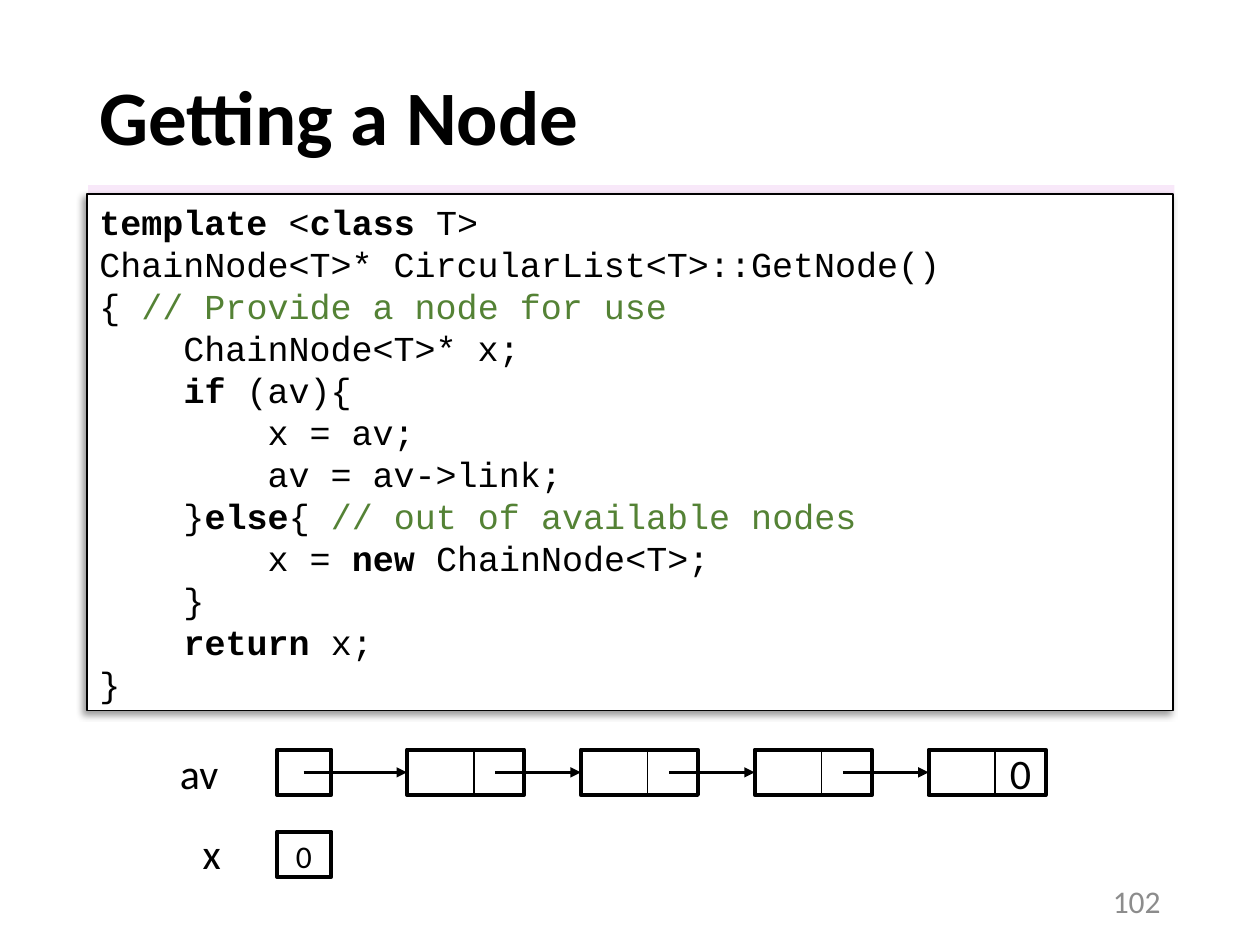
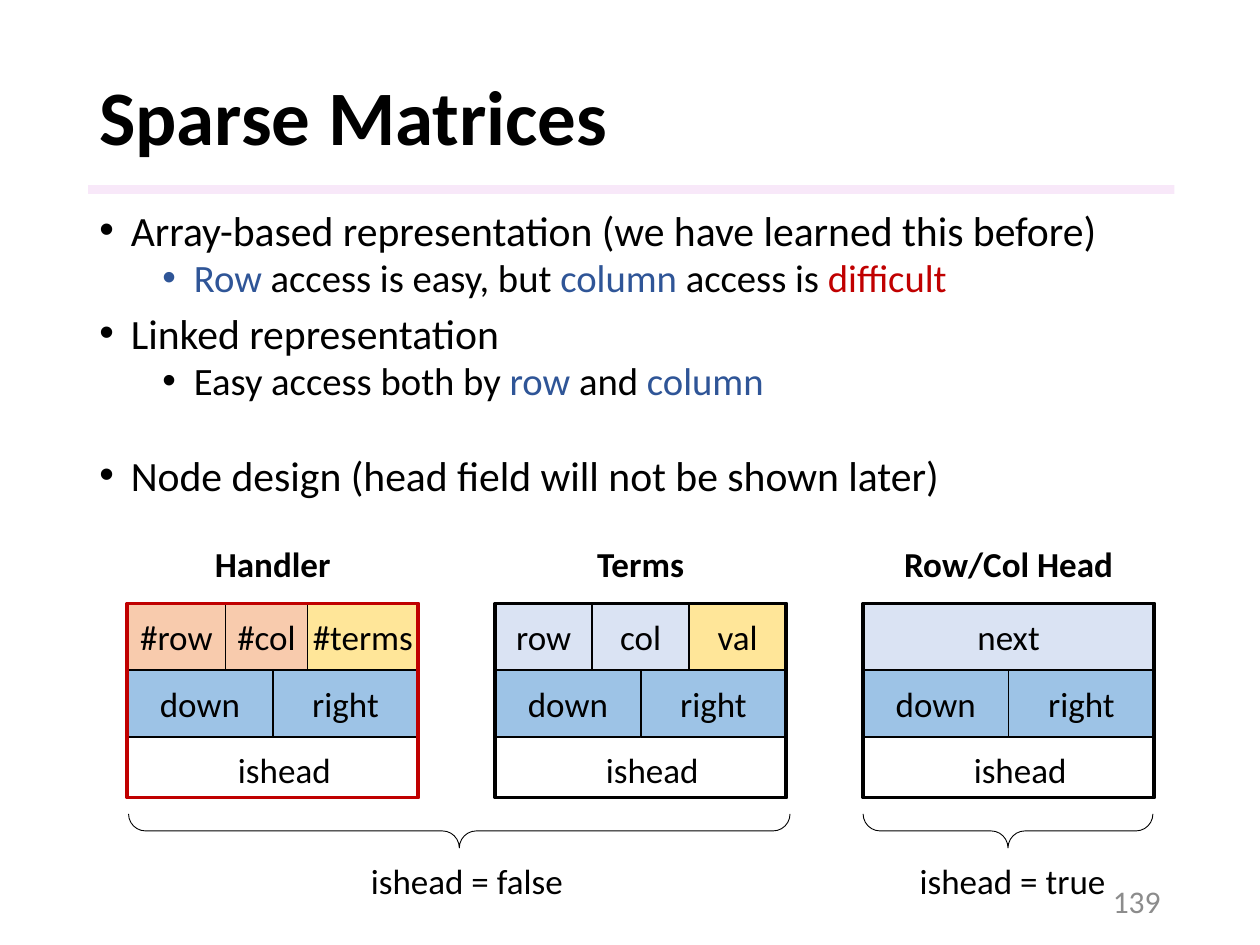
from lxml import etree
from pptx import Presentation
from pptx import util as u
from pptx.dml import color as dml
from pptx.enum import shapes as kinds, text as tx
from pptx.oxml import ns

BLACK, WHITE, GREY = "000000", "FFFFFF", "8C8C8C"
GREEN, NAVY, RED = "548235", "2F5597", "C00000"
PALE, SKY, GOLD, PEACH = "DAE3F3", "9DC3E6", "FFE699", "F8CBAD"
RECT = kinds.MSO_SHAPE.RECTANGLE
LEFT, MID, RIGHT = tx.PP_ALIGN.LEFT, tx.PP_ALIGN.CENTER, tx.PP_ALIGN.RIGHT


def rgb(code):
    return dml.RGBColor.from_string(code)


def inch(*nums):
    return [u.Inches(n) for n in nums]


def tag(node, name, **attrs):
    return etree.SubElement(node, ns.qn(name), {k: str(v) for k, v in attrs.items()})


def write(shape, paras, size=20, color=BLACK, bold=False, face="Calibri",
          align=LEFT, middle=False, space=None, wrap=True, pad=None):
    frame = shape.text_frame
    frame.word_wrap = wrap
    if not wrap:
        frame.auto_size = tx.MSO_AUTO_SIZE.SHAPE_TO_FIT_TEXT
    frame.vertical_anchor = tx.MSO_ANCHOR.MIDDLE if middle else tx.MSO_ANCHOR.TOP
    if pad is not None:
        frame.margin_left = frame.margin_right = u.Inches(pad)
    for i, runs in enumerate([paras] if isinstance(paras, str) else paras):
        para = frame.add_paragraph() if i else frame.paragraphs[0]
        para.alignment = align
        if space:
            para.line_spacing = space
        for part in [runs] if isinstance(runs, str) else runs:
            word, own = (part, {}) if isinstance(part, str) else part
            run = para.add_run()
            run.text = word
            run.font.name = face
            run.font.size = u.Pt(own.get("size", size))
            run.font.bold = own.get("bold", bold)
            run.font.color.rgb = rgb(own.get("color", color))
    return frame


def label(area, box, paras, **form):
    return write(area.add_textbox(*inch(*box)), paras, **form)


def draw(area, box, fill=None, line=BLACK, width=1, kind=RECT):
    shape = area.add_shape(kind, *inch(*box))
    shape.shadow.inherit = False
    if fill:
        shape.fill.solid()
        shape.fill.fore_color.rgb = rgb(fill)
    else:
        shape.fill.background()
    if line:
        shape.line.color.rgb = rgb(line)
        shape.line.width = u.Pt(width)
    else:
        shape.line.fill.background()
    return shape


def cell(area, box, word, fill, size=20):
    write(draw(area, box, fill), word, size=size, align=MID, middle=True, pad=0)


def arrow(area, x, y, goal):
    link = area.add_connector(kinds.MSO_CONNECTOR.STRAIGHT, *inch(x, y), goal.left, u.Inches(y))
    link.end_connect(goal, 1)
    link.line.color.rgb = rgb(BLACK)
    link.line.width = u.Pt(1.5)
    tag(link.line._get_or_add_ln(), "a:tailEnd", type="triangle")
    tag(link._element.spPr, "a:effectLst")


def start(deck, title, page):
    area = deck.slides.add_slide(deck.slide_layouts[6]).shapes
    band = draw(area, (0.7, 1.47, 8.62, 0.07), "F3D2F4", None)
    tint = band._element.spPr.find(".//" + ns.qn("a:srgbClr"))
    tag(tint, "a:alpha", val=50000)
    label(area, (0.69, 0.4, 8.62, 1.11), title, size=44, bold=True, middle=True, space=0.9)
    label(area, (7.06, 6.95, 2.25, 0.4), page, size=18, color=GREY, align=RIGHT, middle=True)
    return area


def code(area, box, lines):
    panel = draw(area, box, WHITE, width=0.75)
    glow = tag(panel._element.spPr.find(ns.qn("a:effectLst")), "a:outerShdw",
               blurRad=u.Pt(4), dist=u.Pt(3), dir=135 * 60000, algn="tr", rotWithShape=0)
    tag(tag(glow, "a:srgbClr", val=BLACK), "a:alpha", val=40000)
    write(panel, lines, face="Courier New")


def chain(area, x, y, count):
    high = 0.36
    axis = y + high / 2
    label(area, (x - 0.87, y - 0.07, 0.51, 0.5), "av", size=24, wrap=False)
    draw(area, (x, y, 0.43, high), width=2.25)
    tail = x + 0.21
    for i in range(count):
        left = x + 1.03 + 1.38 * i
        draw(area, (left, y, 0.53, high), WHITE)
        cell(area, (left + 0.53, y, 0.4, high), "0" if i == count - 1 else "", WHITE, 24)
        node = draw(area, (left, y, 0.93, high), width=2.25)
        arrow(area, tail, axis, node)
        tail = left + 0.7
    low = y + 0.65
    label(area, (x - 0.69, low - 0.08, 0.35, 0.5), "x", size=24, wrap=False)
    draw(area, (x, low, 0.43, high), width=2.25)
    label(area, (x + 0.05, low - 0.01, 0.33, 0.4), "0", size=18, wrap=False)


def points(area, box, items):
    frame = label(area, box, [runs for _, _, runs in items], space=0.8)
    for para, (level, gap, _) in zip(frame.paragraphs, items):
        para.level = level
        para.space_before = u.Pt(gap)
        props = para._p.get_or_add_pPr()
        props.set("marL", str(u.Inches(0.25 + 0.5 * level)))
        props.set("indent", str(u.Inches(-0.25)))
        tag(props, "a:buFont", typeface="Arial")
        tag(props, "a:buChar", char="•")
        for run in para.runs:
            run.font.size = u.Pt(22.1 if level else 23.8)


def record(area, x, y, name, fields, edge=BLACK):
    wide, high = 2.31, 0.53
    label(area, (x, y - 0.53, wide, 0.44), name, bold=True, align=MID)
    left = x
    for word, span, fill in fields:
        cell(area, (left, y, span, high), word, fill)
        left += span
    for i, word in enumerate(("down", "right")):
        cell(area, (x + i * wide / 2, y + high, wide / 2, high), word, SKY)
    draw(area, (x, y, wide, 1.54), line=edge, width=2.25)
    label(area, (x + 0.78, y + 1.1, 0.95, 0.44), "ishead", wrap=False)


def brace(area, x, y, wide, word):
    thick = 0.27
    mid = x + wide / 2
    box = (mid - thick / 2, y + thick / 2 - wide / 2, thick, wide)
    curl = draw(area, box, width=0.5, kind=kinds.MSO_SHAPE.RIGHT_BRACE)
    curl.rotation = 90
    curl.adjustments[0] = 0.497
    label(area, (mid - 0.8, y + 0.31, 1.75, 0.44), word, wrap=False)


def getting(deck):
    area = start(deck, "Getting a Node", "102")

    def key(word):
        return word, {"bold": True}

    def note(word):
        return word, {"color": GREEN}

    code(area, (0.69, 1.54, 8.62, 4.1), [
        [key("template"), " <", key("class"), " T>"],
        "ChainNode<T>* CircularList<T>::GetNode()",
        ["{ ", note("// Provide a node for use")],
        "    ChainNode<T>* x;",
        ["    ", key("if"), " (av){"],
        "        x = av;",
        "        av = av->link;",
        ["    }", key("else"), "{ ", note("// out of available nodes")],
        ["        x = ", key("new "), "ChainNode<T>;"],
        "    }",
        ["    ", key("return"), " x;"],
        "}"])
    chain(area, 2.2, 5.95, 4)


def sparse(deck):
    area = start(deck, "Sparse Matrices", "139")
    blue, red = {"color": NAVY}, {"color": RED}
    points(area, (0.69, 1.65, 8.62, 2.49), [
        (0, 0, "Array-based representation (we have learned this before)"),
        (1, 5, [("Row ", blue), "access is easy, but ", ("column ", blue),
                "access is ", ("difficult", red)]),
        (0, 10, "Linked representation"),
        (1, 5, ["Easy access both by ", ("row", blue), " and ", ("column", blue)]),
        (0, 32, "Node design (head field will not be shown later)")])
    top, low = 4.79, 6.46
    heads = area.add_group_shape().shapes
    record(heads, 6.85, top, "Row/Col Head", [("next", 2.31, PALE)])
    brace(heads, 6.85, low, 2.3, "ishead = true")
    nodes = area.add_group_shape().shapes
    record(nodes, 3.93, top, "Terms",
           [("row", 0.77, PALE), ("col", 0.77, PALE), ("val", 0.77, GOLD)])
    record(nodes, 1.01, top, "Handler",
           [("#row", 0.78, PEACH), ("#col", 0.65, PEACH), ("#terms", 0.88, GOLD)], RED)
    brace(nodes, 1.02, low, 5.25, "ishead = false")


def main():
    deck = Presentation()
    deck.slide_width, deck.slide_height = inch(10, 7.5)
    getting(deck)
    sparse(deck)
    deck.save("out.pptx")


if __name__ == "__main__":
    main()
